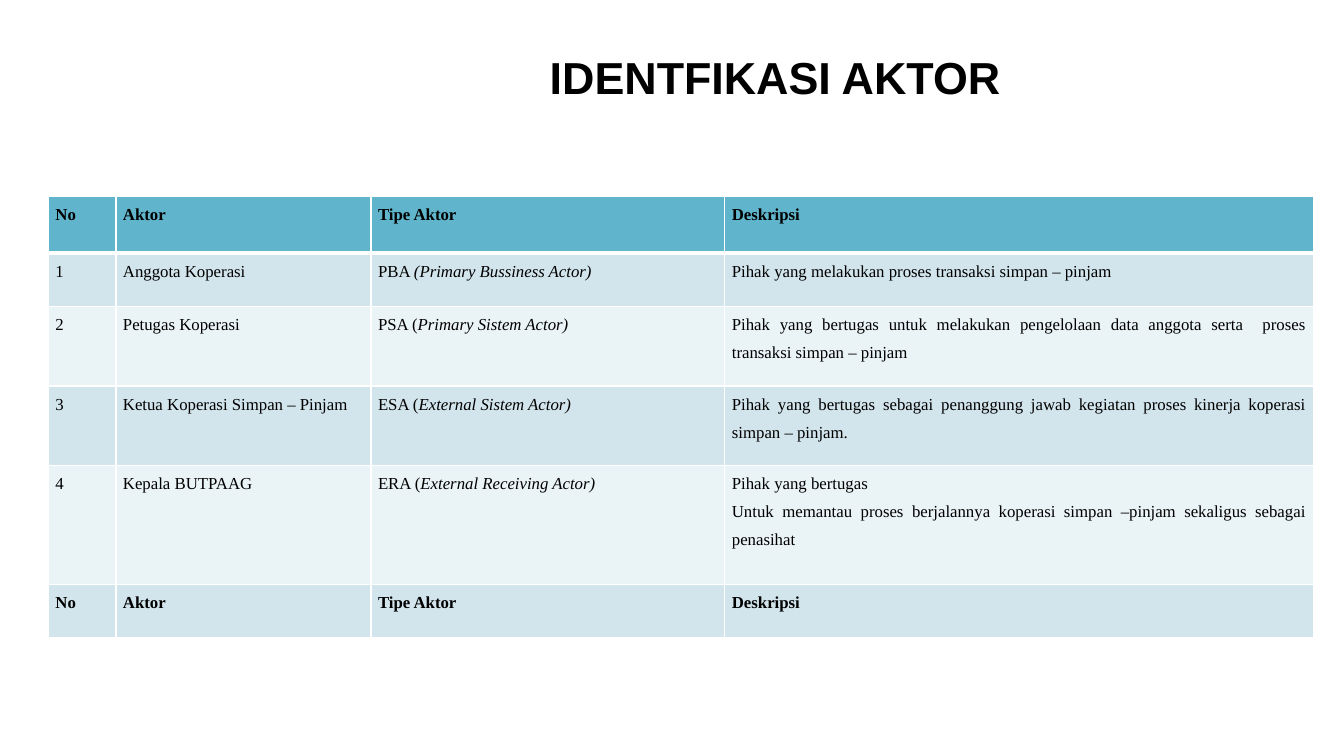
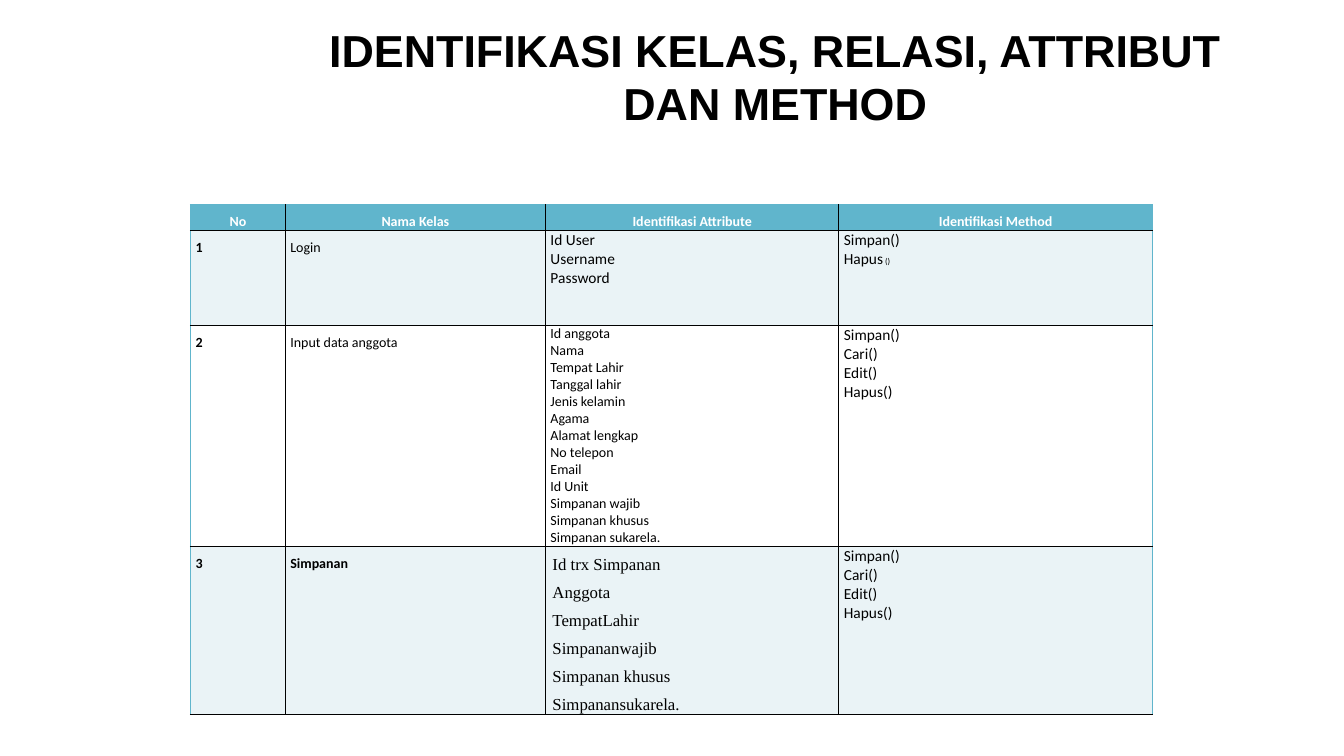
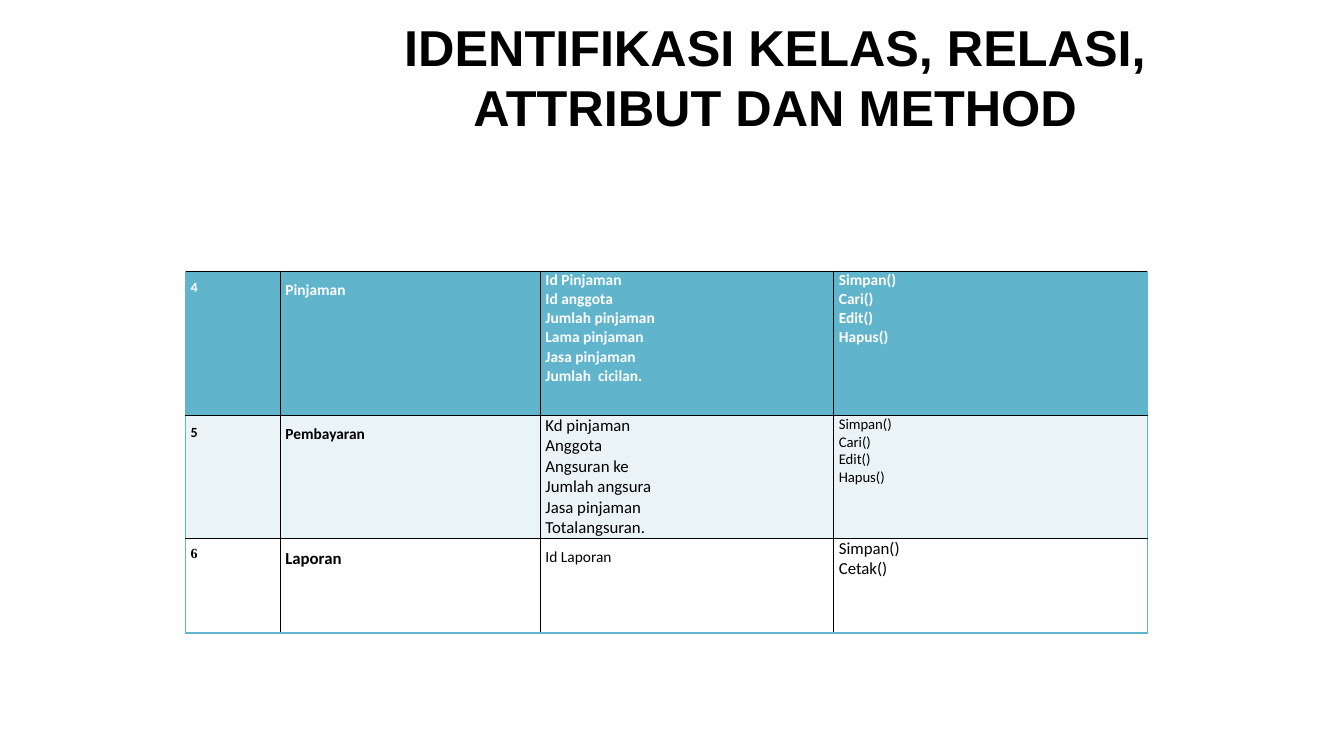
from dataclasses import dataclass
from functools import partial

from lxml import etree
from pptx import Presentation
from pptx import util as u
from pptx.dml.color import RGBColor
from pptx.enum import text
from pptx.oxml.ns import qn

WIDTH, HEIGHT = 13.33, 7.5
TEAL, MIST, PALE = "60B5CC", "D2E5EC", "EAF3F6"
WHITE, BLACK = "FFFFFF", "000000"
SERIF = "Times New Roman"
CLASS_COLUMNS = [0.94, 2.58, 2.91, 3.11]
CLASS_TITLE = "IDENTIFIKASI KELAS, RELASI, ATTRIBUT DAN METHOD"
CRUD = "Simpan()\nCari()\nEdit()\nHapus()"


@dataclass
class Cell:
    """Text of one table cell with its format; a bar starts the tail run."""
    text: str
    size: float = 11
    font: str = "Calibri"
    bold: bool = False
    color: str = BLACK
    spacing: float = 1
    align: text.PP_ALIGN = text.PP_ALIGN.LEFT
    anchor: text.MSO_ANCHOR = text.MSO_ANCHOR.TOP
    inset: float = 0.05
    tail_size: float = 0
    tail_italic: bool = False


@dataclass
class Frame:
    """Line colours of a table, and the line width under its first row."""
    inner: str = BLACK
    left: str = TEAL
    right: str = TEAL
    top: str = BLACK
    bottom: str = BLACK
    header_width: float = 1


actor_cell = partial(Cell, size=12, font=SERIF, spacing=1.5, inset=0.07,
                     align=text.PP_ALIGN.JUSTIFY, tail_italic=True)
label = partial(Cell, size=10, bold=True, spacing=1.5)
heading = partial(label, color=WHITE, align=text.PP_ALIGN.CENTER,
                  anchor=text.MSO_ANCHOR.MIDDLE)


def rgb(color):
    """Turn a hex string into a colour."""
    return RGBColor.from_string(color)


def format_run(run, size, font, color, bold, italic=False):
    """Set the font of one run."""
    run.font.size, run.font.name = u.Pt(size), font
    run.font.bold, run.font.italic = bold, italic
    run.font.color.rgb = rgb(color)


def add_title(slide, title, size):
    """Place and format the slide's title."""
    shape = slide.shapes.title
    shape.left, shape.top = u.Inches(WIDTH * 0.2), u.Inches(0.17)
    shape.width, shape.height = u.Inches(WIDTH * 0.75), u.Inches(1.17)
    frame = shape.text_frame
    frame.text = title
    frame.word_wrap, frame.auto_size = True, text.MSO_AUTO_SIZE.NONE
    frame.vertical_anchor = text.MSO_ANCHOR.MIDDLE
    frame.margin_left = u.Inches(0.1)
    frame.margin_right = frame.margin_top = frame.margin_bottom = u.Inches(0.05)
    paragraph = frame.paragraphs[0]
    paragraph.alignment = text.PP_ALIGN.CENTER
    format_run(paragraph.runs[0], size, "Arial", BLACK, True)


def fill_cell(target, cell, fill):
    """Write and format the content of one table cell."""
    target.fill.solid()
    target.fill.fore_color.rgb = rgb(fill)
    target.margin_left = target.margin_right = u.Inches(cell.inset)
    target.margin_top = target.margin_bottom = 0
    target.vertical_anchor = cell.anchor
    target.text_frame.text = cell.text
    for paragraph in target.text_frame.paragraphs:
        paragraph.alignment, paragraph.line_spacing = cell.align, cell.spacing
        head, *tails = paragraph.text.split("|")
        paragraph.text = head
        format_run(paragraph.runs[0], cell.size, cell.font, cell.color, cell.bold)
        for tail in tails:
            run = paragraph.add_run()
            run.text = tail
            format_run(run, cell.tail_size or cell.size, cell.font, cell.color,
                       cell.bold, cell.tail_italic)


def set_borders(target, borders):
    """Draw the left, right, top and bottom lines of one table cell."""
    properties = target._tc.get_or_add_tcPr()
    for index, (side, (color, width)) in enumerate(zip("LRTB", borders)):
        line = etree.Element(qn(f"a:ln{side}"), w=str(int(u.Pt(width))))
        solid = etree.SubElement(line, qn("a:solidFill"))
        etree.SubElement(solid, qn("a:srgbClr"), val=color)
        properties.insert(index, line)


def add_grid(slide, left, top, columns, heights, fills, rows, frame):
    """Add a table whose rows are lists of cells."""
    table = slide.shapes.add_table(
        len(rows), len(columns), u.Inches(left), u.Inches(top),
        u.Inches(sum(columns)), u.Inches(sum(heights))).table
    table.first_row = table.horz_banding = False
    for column, width in zip(table.columns, columns):
        column.width = u.Inches(width)
    for row, height in zip(table.rows, heights):
        row.height = u.Inches(height)
    last_row, last_column = len(rows) - 1, len(columns) - 1
    for r, (cells, fill) in enumerate(zip(rows, fills)):
        for c, cell in enumerate(cells):
            target = table.cell(r, c)
            fill_cell(target, cell, fill)
            set_borders(target, [
                (frame.left if c == 0 else frame.inner, 1),
                (frame.right if c == last_column else frame.inner, 1),
                (frame.top if r == 0 else frame.inner,
                 frame.header_width if r == 1 else 1),
                (frame.bottom if r == last_row else frame.inner,
                 frame.header_width if r == 0 else 1)])


def add_actor_slide(slide):
    """Build the table of actors."""
    add_title(slide, "IDENTFIKASI AKTOR", 32)
    header = ["No", "Aktor", "Tipe Aktor", "Deskripsi"]
    actors = [
        ["1", "Anggota Koperasi", "PBA |(Primary Bussiness Actor)",
         "Pihak yang melakukan proses transaksi simpan – pinjam"],
        ["2", "Petugas Koperasi", "PSA (|Primary Sistem Actor)",
         "Pihak yang bertugas untuk melakukan pengelolaan data anggota serta  "
         "proses transaksi simpan – pinjam"],
        ["3", "Ketua Koperasi Simpan – Pinjam", "ESA (|External Sistem Actor)",
         "Pihak yang bertugas sebagai penanggung jawab kegiatan proses kinerja "
         "koperasi simpan – pinjam."],
        ["4", "Kepala BUTPAAG", "ERA (|External Receiving Actor)",
         "Pihak yang bertugas\nUntuk memantau proses berjalannya koperasi "
         "simpan –pinjam sekaligus sebagai penasihat"],
    ]
    rows = [[actor_cell(value, bold=row is header) for value in row]
            for row in [header, *actors, header]]
    add_grid(slide, 0.48, 1.95, [0.67, 2.53, 3.51, 5.84],
             [0.56, 0.53, 0.79, 0.79, 1.18, 0.53],
             [TEAL, MIST, PALE, MIST, PALE, MIST], rows,
             Frame(WHITE, WHITE, WHITE, WHITE, WHITE, header_width=3))


def add_first_classes_slide(slide):
    """Build the table of classes 1 to 3."""
    add_title(slide, CLASS_TITLE, 32)
    header = ["No", "Nama Kelas", "Identifikasi Attribute", "Identifikasi Method"]
    rows = [
        [heading(value) for value in header],
        [label("1"), label("Login", bold=False),
         Cell("Id User\nUsername\nPassword"),
         Cell("Simpan()\nHapus| ()", tail_size=6)],
        [label("2"), label("Input data anggota", bold=False),
         Cell("Id anggota\nNama\nTempat Lahir\nTanggal lahir\nJenis kelamin\n"
              "Agama\nAlamat lengkap\nNo telepon\nEmail\nId Unit\n"
              "Simpanan wajib\nSimpanan khusus\nSimpanan sukarela.", size=10),
         Cell(CRUD)],
        [label("3"), label("Simpanan"),
         actor_cell("Id trx Simpanan\nAnggota\nTempatLahir\nSimpananwajib\n"
                    "Simpanan khusus\nSimpanansukarela."),
         Cell(CRUD)],
    ]
    add_grid(slide, 1.89, 2.03, CLASS_COLUMNS, [0.26, 0.94, 2.19, 1.67],
             [TEAL, PALE, WHITE, PALE], rows, Frame(top=TEAL))


def add_last_classes_slide(slide):
    """Build the table of classes 4 to 6."""
    add_title(slide, CLASS_TITLE, 36)
    light = {"color": WHITE, "bold": True}
    rows = [
        [label("4", color=WHITE), label("Pinjaman", size=11, color=WHITE),
         Cell("Id Pinjaman\nId anggota\nJumlah pinjaman\nLama pinjaman\n"
              "Jasa pinjaman\nJumlah  cicilan.", **light),
         Cell(CRUD, **light)],
        [label("5"), label("Pembayaran", size=11),
         Cell("Kd pinjaman\nAnggota\nAngsuran ke\nJumlah angsura\n"
              "Jasa pinjaman\nTotalangsuran.", size=12),
         Cell(CRUD, size=10.5)],
        [label("6", font=SERIF), label("Laporan", size=12),
         label("Id Laporan", size=11, bold=False),
         Cell("Simpan()\nCetak()", size=12)],
    ]
    add_grid(slide, 1.84, 2.69, CLASS_COLUMNS, [1.43, 1.22, 0.94],
             [TEAL, PALE, WHITE], rows, Frame(bottom=TEAL))


def main():
    """Build and save the presentation."""
    presentation = Presentation()
    presentation.slide_width = u.Inches(WIDTH)
    presentation.slide_height = u.Inches(HEIGHT)
    title_only = presentation.slide_layouts[5]
    for build in (add_actor_slide, add_first_classes_slide, add_last_classes_slide):
        build(presentation.slides.add_slide(title_only))
    presentation.save("out.pptx")


if __name__ == "__main__":
    main()
